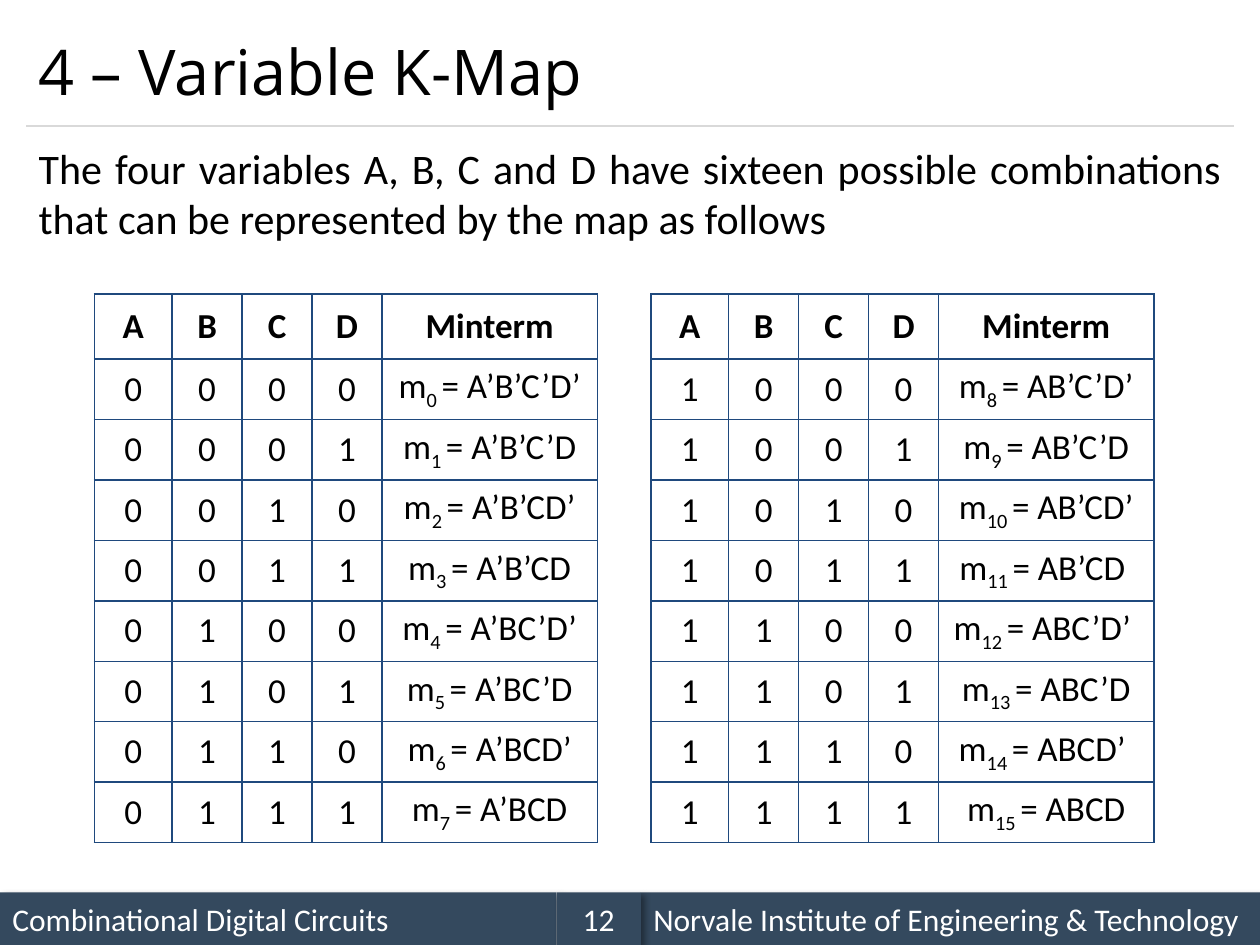
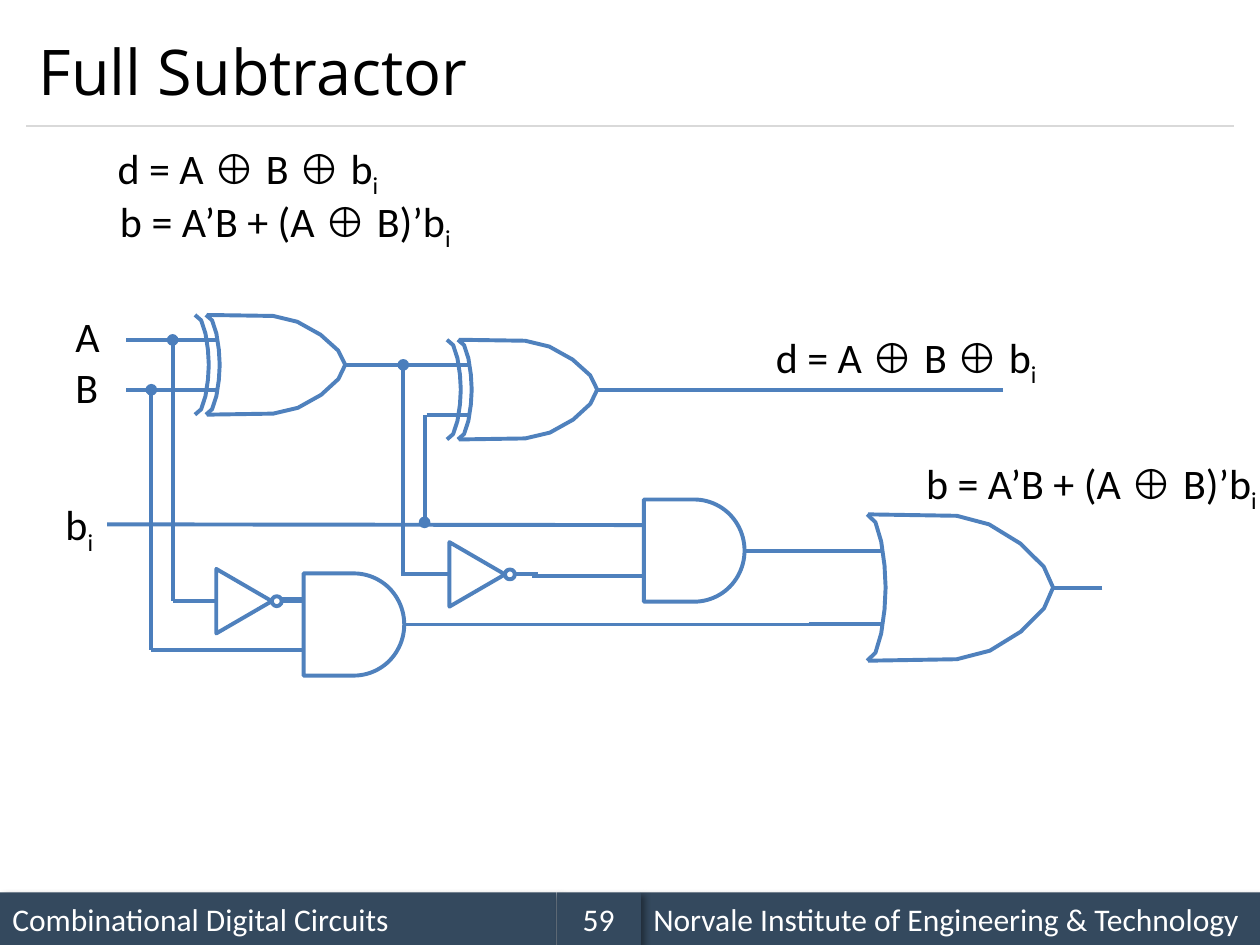
from collections import namedtuple

from lxml.etree import SubElement
from pptx import Presentation
from pptx.dml.color import RGBColor
from pptx.enum.shapes import MSO_CONNECTOR, MSO_SHAPE
from pptx.enum.text import MSO_ANCHOR, PP_ALIGN
from pptx.oxml import parse_xml
from pptx.oxml.ns import nsdecls, qn
from pptx.util import Cm, Pt

COLOURS = {
    "text": "000000", "band": "34495E", "band_text": "FFFFFF", "rule": "D9D9D9",
    "grid": "1F497D", "wire": "4F81BD", "tap": "4B7EBC",
}
TITLE = {"name": "Open Sans", "size": Pt(36)}
BODY = {"name": "Calibri", "size": Pt(24)}
SYMBOL = {"name": "Times New Roman", "size": Pt(24)}
FOOTER = {"name": "Calibri", "size": Pt(18)}
CELL = {"name": "Calibri", "size": Pt(20), "bold": False}
HEADING = {**CELL, "bold": True}

Box = namedtuple("Box", "left top width height")
Point = namedtuple("Point", "x y")
Ports = namedtuple("Ports", "upper lower output")

SLIDE = Box(0, 0, 25.4, 19.05)
VARIABLES = "ABCD"
SPACED_MINTERMS = (11, 12, 14)  # their products end in a space
# Each formula is a list of pieces: text, font, whether it is a subscript.
XOR = ("⊕ ", SYMBOL, False)
INDEX = ("i", BODY, True)
DIFFERENCE = [("d = A ", BODY, False), XOR, ("B ", BODY, False), XOR, ("b", BODY, False), INDEX]
BORROW = [("b = A’B + (A ", BODY, False), XOR, ("B)’b", BODY, False), INDEX]


def colour(name):
    return RGBColor.from_string(COLOURS[name])


def lengths(values):
    return [Cm(value) for value in values]


def write(para, pieces, colour_name="text"):
    for text, font, subscript in pieces:
        span = para.add_run()
        span.text = text
        for key, value in font.items():
            setattr(span.font, key, value)
        span.font.color.rgb = colour(colour_name)
        if subscript:
            span._r.get_or_add_rPr().set("baseline", "-25000")


def add_text(page, box, pieces, wrap=False, anchor=MSO_ANCHOR.TOP, align=PP_ALIGN.LEFT):
    frame = page.shapes.add_textbox(*lengths(box)).text_frame
    for key, value in {"word_wrap": wrap, "vertical_anchor": anchor}.items():
        setattr(frame, key, value)
    frame.paragraphs[0].alignment = align
    write(frame.paragraphs[0], pieces)


def add_line(page, start, end, colour_name="wire", width=2.25, dot=False, source=None):
    """Draw a line; dot marks a junction at its start, source is a shape it leaves."""
    line = page.shapes.add_connector(MSO_CONNECTOR.STRAIGHT, *lengths((*start, *end)))
    line.line.color.rgb = colour(colour_name)
    line.line.width = Pt(width)
    if source is not None:
        line.begin_connect(source, 3)
    if dot:
        SubElement(line.line._get_or_add_ln(), qn("a:headEnd"), type="oval")
    SubElement(line._element.spPr, qn("a:effectLst"))


# Shared frame

def add_band(page, box, text, align=PP_ALIGN.LEFT):
    band = page.shapes.add_shape(MSO_SHAPE.RECTANGLE, *lengths(box))
    band.fill.solid()
    band.fill.fore_color.rgb = colour("band")
    band.line.fill.background()
    band._element.spPr.append(parse_xml(
        f'<a:effectLst {nsdecls("a")}><a:outerShdw blurRad="50800" dist="38100" dir="2700000" '
        'algn="tl" rotWithShape="0"><a:srgbClr val="000000"><a:alpha val="40000"/>'
        '</a:srgbClr></a:outerShdw></a:effectLst>'))
    band.text_frame.vertical_anchor = MSO_ANCHOR.MIDDLE
    para = band.text_frame.paragraphs[0]
    para.alignment = align
    write(para, [(text, FOOTER, False)], "band_text")


def add_footer(page, box, number):
    course_width, number_width = 11.22, 1.7
    right = box.left + course_width + number_width
    add_band(page, box._replace(width=course_width), "Combinational Digital Circuits")
    add_band(page, box._replace(left=right, width=box.width - right),
             "Norvale Institute of Engineering & Technology")
    add_band(page, box._replace(left=box.left + course_width, width=number_width),
             str(number), PP_ALIGN.CENTER)


def add_page(deck, title, number):
    page = deck.slides.add_slide(deck.slide_layouts[6])
    add_footer(page, Box(0, 17.99, SLIDE.width, 1.06), number)
    add_line(page, Point(0.53, 2.54), Point(24.87, 2.54), "rule", 0.75)
    add_text(page, Box(0.53, 0.3, 24.34, 2.24), [(title, TITLE, False)],
             wrap=True, anchor=MSO_ANCHOR.MIDDLE)
    return page


# Minterm tables

def add_borders(cell):
    properties = cell._tc.get_or_add_tcPr()
    for position, side in enumerate("LRTB"):
        properties.insert(position, parse_xml(
            f'<a:ln{side} {nsdecls("a")} w="12700"><a:solidFill>'
            f'<a:srgbClr val="{COLOURS["grid"]}"/></a:solidFill></a:ln{side}>'))


def minterm_row(number):
    bits = f"{number:04b}"
    product = "".join(name if bit == "1" else name + "’"
                      for name, bit in zip(VARIABLES, bits))
    ending = " " if number in SPACED_MINTERMS else ""
    minterm = [("m", CELL, False), (f"{number} ", CELL, True),
               (f"= {product}{ending}", CELL, False)]
    return [[(bit, CELL, False)] for bit in bits] + [minterm]


def add_minterm_table(page, box, numbers):
    heading = [[(name, HEADING, False)] for name in (*VARIABLES, "Minterm")]
    rows = [heading] + [minterm_row(number) for number in numbers]
    table = page.shapes.add_table(len(rows), len(heading), *lengths(box)).table
    for key in ("first_row", "horz_banding"):
        setattr(table, key, False)
    for column, width in zip(table.columns, (1.57, 1.41, 1.41, 1.41, 4.34)):
        column.width = Cm(width)
    heading_height = 1.31
    for index, (row, contents) in enumerate(zip(table.rows, rows)):
        row.height = Cm((box.height - heading_height) / len(numbers) if index else heading_height)
        for cell, pieces in zip(row.cells, contents):
            cell.fill.background()
            cell.vertical_anchor = MSO_ANCHOR.MIDDLE
            cell.text_frame.paragraphs[0].alignment = PP_ALIGN.CENTER
            write(cell.text_frame.paragraphs[0], pieces)
            add_borders(cell)


def build_k_map(deck):
    page = add_page(deck, "4 – Variable K-Map", 12)
    add_text(page, Box(0.53, 2.75, 24.34, 2.31), [(
        "The four variables A, B, C and D have sixteen possible combinations "
        "that can be represented by the map as follows", BODY, False)],
        wrap=True, align=PP_ALIGN.JUSTIFY)
    for left, height, first in ((1.9, 11.01, 0), (13.12, 11.05, 8)):
        add_minterm_table(page, Box(left, 5.93, 10.14, height), range(first, first + 8))


# Logic gates

def curve(*controls, steps=4):
    """Points along a cubic Bezier curve, after its first one."""
    points = []
    for step in range(1, steps + 1):
        t = step / steps
        weights = ((1 - t) ** 3, 3 * t * (1 - t) ** 2, 3 * t * t * (1 - t), t ** 3)
        points.append(tuple(sum(weight * control[axis]
                                for weight, control in zip(weights, controls))
                            for axis in (0, 1)))
    return points


BODY_OUTLINE = [(0, 0), (0.48, 0.01), *curve((0.48, 0.01), (0.7, 0.02), (1, 0.34), (1, 0.5)),
                *curve((1, 0.5), (1, 0.66), (0.71, 0.98), (0.48, 0.99)), (0, 1)]
BACK_OUTLINE = [(0, 1), *curve((0, 1), (0.07, 1), (0.1, 0.67), (0.1, 0.5)),
                *curve((0.1, 0.5), (0.1, 0.33), (0.07, 0), (0, 0))]


def outline_only(shape):
    shape.shadow.inherit = False
    shape.fill.background()
    shape.line.color.rgb = colour("wire")
    shape.line.width = Pt(2.25)
    return shape


def add_outline(page, box, fractions):
    points = [lengths((box.left + x * box.width, box.top + y * box.height))
              for x, y in fractions]
    builder = page.shapes.build_freeform(*points[0])
    builder.add_line_segments(points[1:], close=False)
    outline_only(builder.convert_to_shape())


def ports(box, depth=0):
    """Inputs at a quarter and three quarters of the height, output in the middle."""
    upper, lower = (Point(box.left + depth * box.width, box.top + part * box.height)
                    for part in (0.25, 0.75))
    return Ports(upper, lower, Point(box.left + box.width, box.top + box.height / 2))


def add_or_gate(page, box, exclusive=False):
    add_outline(page, box, BODY_OUTLINE)
    back = box._replace(left=box.left - 0.02)
    add_outline(page, back, BACK_OUTLINE)
    if exclusive:
        add_outline(page, back._replace(left=back.left - 0.22), BACK_OUTLINE)
    return ports(box, depth=0.08)


def add_and_gate(page, box):
    gate = page.shapes.add_shape(MSO_SHAPE.FLOWCHART_DELAY, *lengths(box))
    return outline_only(gate), ports(box)


def add_inverter(page, entry):
    """Draw an inverter whose input is at entry and return its output point."""
    width, height, bubble = 1.12, 1.3, 0.2
    triangle = outline_only(page.shapes.add_shape(
        MSO_SHAPE.ISOSCELES_TRIANGLE, *lengths((
            entry.x + (width - height) / 2, entry.y - width / 2, height, width))))
    triangle.rotation = 90
    tip = entry.x + width
    outline_only(page.shapes.add_shape(
        MSO_SHAPE.OVAL, *lengths((tip, entry.y - bubble / 2, bubble, bubble))))
    return Point(tip + bubble, entry.y)


def add_circuit(page, box):
    def placed(left, top, width, height):
        return Box(box.left + left, box.top + top, width, height)

    def at(x, y):
        return Point(box.left + x, box.top + y)

    first_xor = add_or_gate(page, placed(3.17, 0.35, 2.79, 2.01), exclusive=True)
    second_xor = add_or_gate(page, placed(8.25, 0.85, 2.79, 2.01), exclusive=True)
    lower_and, lower = add_and_gate(page, placed(5.12, 5.56, 2.03, 2.06))
    upper_and, upper = add_and_gate(page, placed(11.98, 4.07, 2.03, 2.06))
    final_or = add_or_gate(page, placed(16.5, 4.37, 3.73, 2.95))
    lower_not, upper_not = at(3.36, 6.12), at(8.06, 5.58)
    borrow_in, borrow_tap = at(1.16, 4.57), at(7.56, 4.53)

    # Horizontal wires, each reaching a port from a given x.
    for port, offset in ((first_xor.upper, 1.54), (first_xor.lower, 1.54),
                         (second_xor.upper, 6.62), (second_xor.lower, 7.6),
                         (lower.lower, 2.05), (lower.upper, 4.68), (upper.lower, 9.72),
                         (final_or.upper, 15.3), (final_or.lower, 15.3),
                         (lower_not, 2.48), (upper_not, 7.08),
                         (second_xor.output, 19.22), (final_or.output, 21.22)):
        add_line(page, Point(box.left + offset, port.y), port)
    add_line(page, borrow_in, upper.upper)

    # Short leads that overlap the next wire.
    add_line(page, first_xor.output, at(6.72, first_xor.output.y - box.top))
    for gate, output, offset in ((lower_and, lower.output, 15.36),
                                 (upper_and, upper.output, 16.58)):
        add_line(page, output, Point(box.left + offset, output.y), source=gate)
    for entry, offset in ((lower_not, 5.14), (upper_not, 9.84)):
        output = add_inverter(page, entry)
        add_line(page, output, Point(box.left + offset, output.y))

    # Vertical taps, each with a junction dot where it starts.
    for offset, start, end in ((2.48, first_xor.upper, lower_not),
                               (2.05, first_xor.lower, lower.lower),
                               (7.13, first_xor.output, upper_not),
                               (7.56, borrow_tap, second_xor.lower)):
        add_line(page, at(offset, start.y - box.top), at(offset, end.y - box.top),
                 "tap", dot=True)

    for pieces, left, top, width in (([("A", BODY, False)], 0.27, 0.14, 1.02),
                                     ([("B", BODY, False)], 0.27, 1.16, 1.02),
                                     ([("b", BODY, False), INDEX], 0.07, 3.93, 1.09),
                                     (DIFFERENCE, 14.39, 0.55, 5.79),
                                     (BORROW, 17.42, 3.09, 7.21)):
        add_text(page, placed(left, top, width, 1.27), pieces)


def build_full_subtractor(deck):
    page = add_page(deck, "Full Subtractor", 59)
    add_text(page, Box(2.12, 2.74, 5.79, 1.27), DIFFERENCE)
    add_text(page, Box(2.17, 3.81, 7.21, 1.27), BORROW)
    add_circuit(page, Box(1, 6, 24.4, 8))


def main():
    deck = Presentation()
    deck.slide_width, deck.slide_height = lengths((SLIDE.width, SLIDE.height))
    build_k_map(deck)
    build_full_subtractor(deck)
    deck.save("out.pptx")


if __name__ == "__main__":
    main()
